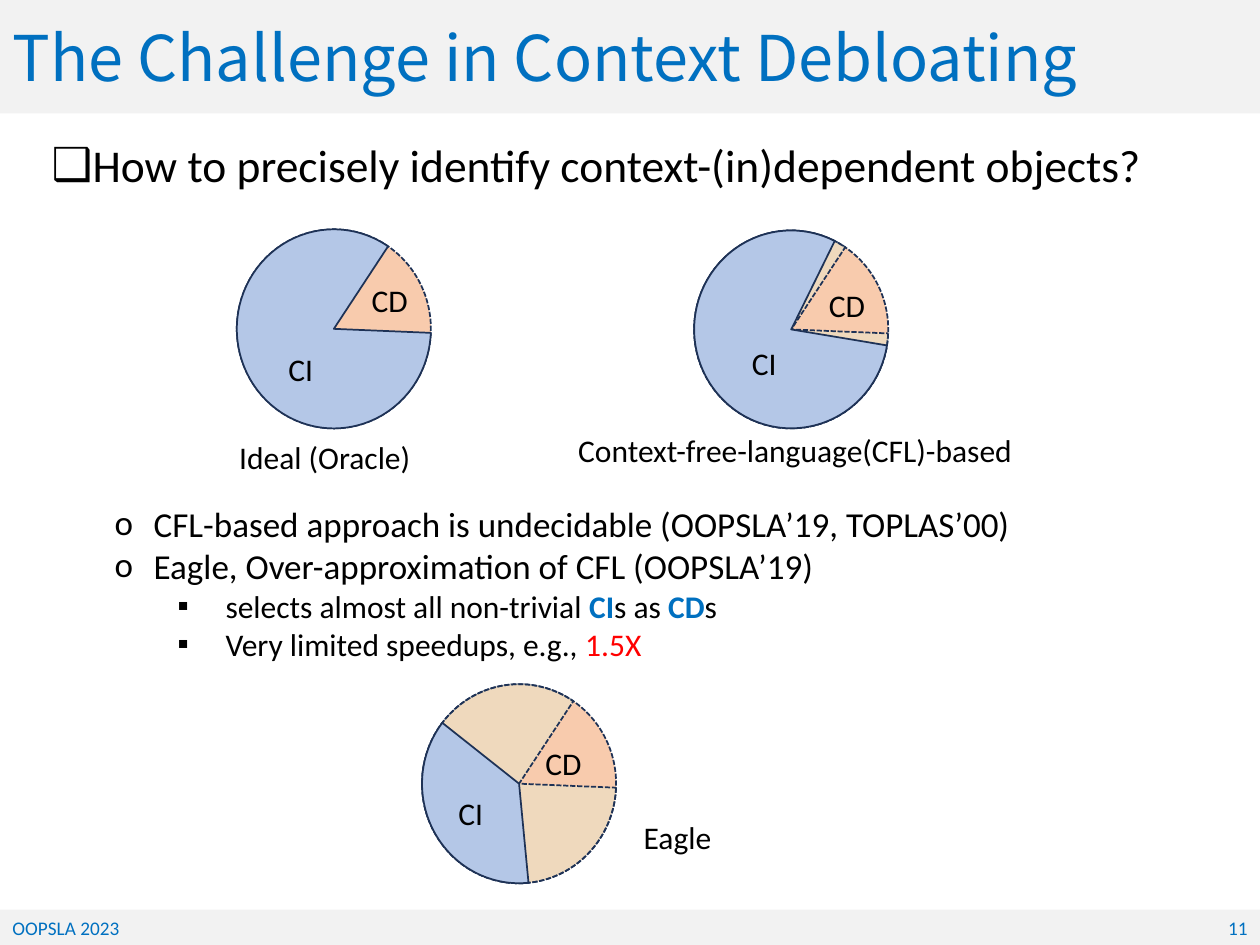
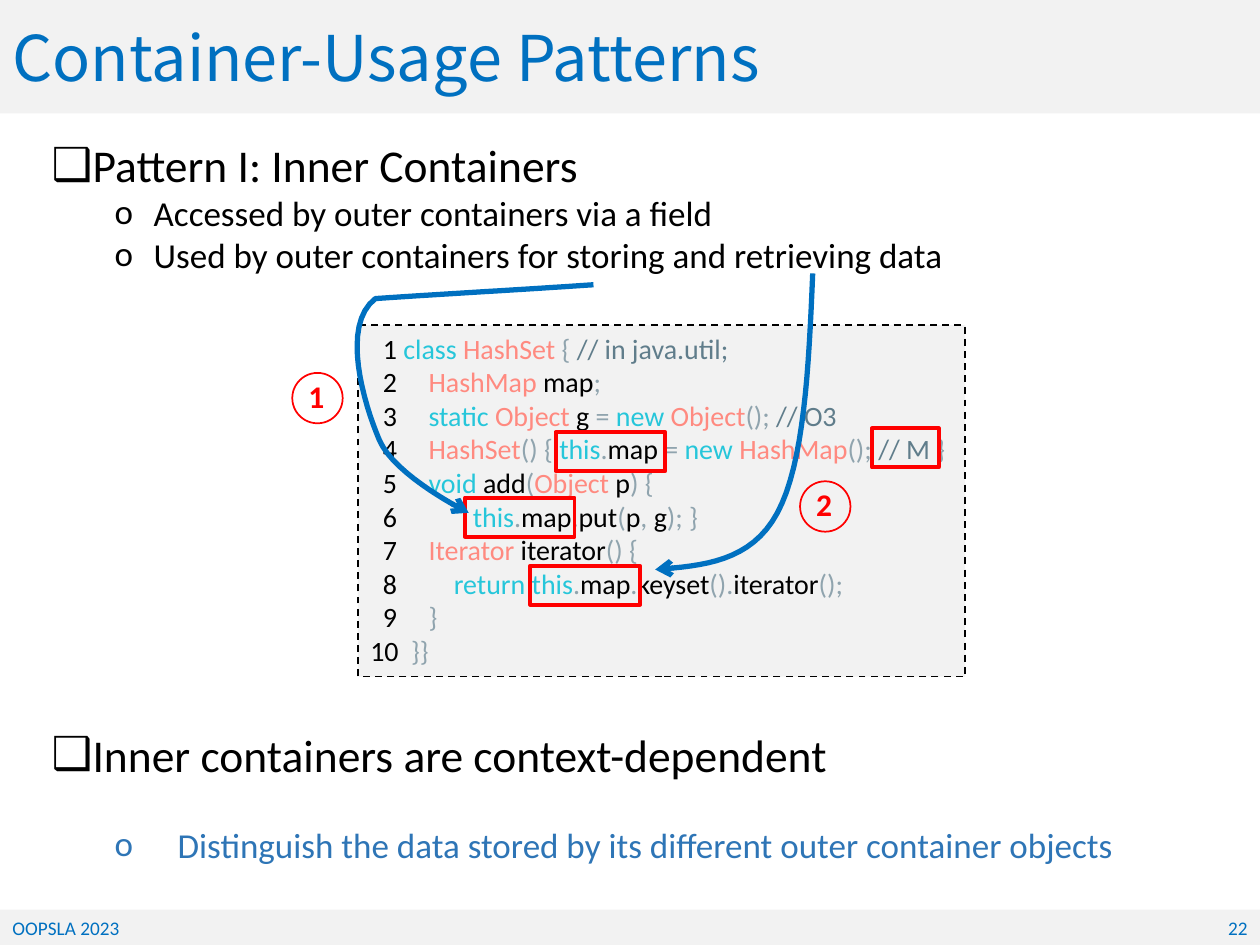
"""Builds two slides on context debloating and container-usage patterns."""
import itertools
from dataclasses import dataclass
from typing import Any, NamedTuple, Optional

import lxml.etree
import pptx
import pptx.dml.color
import pptx.enum.dml
import pptx.enum.shapes
import pptx.enum.text
import pptx.oxml.ns
import pptx.shapes.autoshape
import pptx.slide
import pptx.text.text
import pptx.util

EMU_PER_PX = 9144
TITLE_FONT, TEXT_FONT = "Noto Sans CJK SC", "Calibri"
COLORS = {
    "band": "F2F2F2", "accent": "0070C0", "text": "000000", "alert": "FF0000",
    "note": "2E75B6", "outline": "1E3256", "ci": "B4C7E7", "cd": "F8CBAD",
    "excess": "E2F0D9", "keyword": "26C6DA", "type": "FF8A80",
    "punctuation": "90A4AE", "comment": "607D8B",
}
KEYWORDS = {"class", "static", "new", "this", "void", "return"}
TYPES = {"HashSet", "HashMap", "Object", "Iterator"}
CODE = (
    "  1 class HashSet { // in java.util;",
    "  2     HashMap map;",
    "  3     static Object g = new Object(); // O3",
    "  4     HashSet() { this.map = new HashMap(); // M }",
    "  5     void add(Object p) {",
    "  6            this.map.put(p, g); }",
    "  7     Iterator iterator() {",
    "  8         return this.map.keyset().iterator();",
    "  9     }",
    "10  }}",
)
SHAPE = pptx.enum.shapes.MSO_SHAPE
DASH = pptx.enum.dml.MSO_LINE
ALIGN = pptx.enum.text.PP_ALIGN
ANCHOR = pptx.enum.text.MSO_ANCHOR
GROW = pptx.enum.text.MSO_AUTO_SIZE.SHAPE_TO_FIT_TEXT


class Box(NamedTuple):
    left: int
    top: int
    width: int
    height: int


class Run(NamedTuple):
    text: str
    color: str = "text"
    bold: bool = False


class Outline(NamedTuple):
    color: str
    width: float = 1
    dash: Optional[Any] = None


class ListLevel(NamedTuple):
    level: int
    size: int
    margin: int
    hanging: int
    bullet: str
    spacing: float = 1.0


class Item(NamedTuple):
    style: ListLevel
    runs: tuple[Run, ...]


class Slice(NamedTuple):
    start: float
    end: float


@dataclass(frozen=True)
class Caption:
    text: str
    box: Box


@dataclass(frozen=True)
class Partition:
    """A disc of CD objects, overlaid by its CI slice and any excess."""
    disc: Box
    ci: Slice
    has_excess: bool
    captions: tuple[Caption, ...]


QUESTION = ListLevel(0, 26, 31, 31, "❑")
POINT = ListLevel(1, 20, 81, 31, "o")
DETAIL = ListLevel(2, 18, 138, 38, "▪")
CONCLUSION = ListLevel(1, 20, 100, 50, "o", 2.0)

NOT_CD = Slice(2.36, 303.33)
SOLID, DOTTED = Outline("outline"), Outline("outline", dash=DASH.SQUARE_DOT)
PARTITIONS = (
    Partition(Box(188, 182, 154, 158), NOT_CD, False, (
        Caption("Ideal (Oracle)", Box(180, 343, 158, 40)),
        Caption("CI", Box(219, 273, 40, 40)),
        Caption("CD", Box(285, 218, 49, 40)))),
    Partition(Box(551, 183, 154, 157), Slice(9.5, 296.19), True, (
        Caption("Context-free-language(CFL)-based", Box(449, 337, 382, 40)),
        Caption("CI", Box(587, 268, 40, 40)),
        Caption("CD", Box(648, 222, 49, 40)))),
    Partition(Box(335, 543, 154, 158), Slice(84.56, 218.42), True, (
        Caption("Eagle", Box(501, 644, 74, 40)),
        Caption("CI", Box(354, 625, 40, 40)),
        Caption("CD", Box(423, 586, 49, 40)))),
)
FIELD_USES = (Box(369, 395, 87, 31), Box(692, 340, 53, 31),
              Box(441, 343, 87, 31), Box(421, 449, 87, 31))
STEPS = {"1": (232, 296), "2": (635, 382)}
STORE_ARROW = (
    ((471, 226), (413, 230), (356, 233), (298, 237)),
    ((298, 237), (270, 258), (289, 321), (301, 349)),
    ((301, 349), (313, 378), (372, 407), (372, 407)),
)
RETRIEVE_ARROW = (
    ((645, 217), (642, 292), (638, 368), (617, 407)),
    ((617, 407), (596, 446), (558, 449), (520, 452)),
)


def px(length: float) -> int:
    """Turn px into EMU."""
    return round(length * EMU_PER_PX)


def rgb(name: str) -> pptx.dml.color.RGBColor:
    """Look up a palette colour."""
    return pptx.dml.color.RGBColor.from_string(COLORS[name])


def apply(target: Any, values: dict[str, Any]) -> None:
    """Set each format value on the target."""
    for name, value in values.items():
        setattr(target, name, value)


def place(shape: Any, box: Box) -> None:
    """Move and size a shape."""
    apply(shape, {name: px(value) for name, value in box._asdict().items()})


def add_runs(paragraph: Any, runs: tuple[Run, ...], size: float, font: str = TEXT_FONT) -> None:
    """Append formatted runs to a paragraph."""
    for part in runs:
        run = paragraph.add_run()
        run.text = part.text
        apply(run.font, {"name": font, "size": pptx.util.Pt(size), "bold": part.bold})
        run.font.color.rgb = rgb(part.color)


def draw_line(line: Any, outline: Outline) -> None:
    """Format a shape's outline."""
    line.color.rgb = rgb(outline.color)
    line.width = pptx.util.Pt(outline.width)
    if outline.dash is not None:
        line.dash_style = outline.dash


def add_shape(shapes: Any, kind: Any, box: Box, fill: Optional[str] = None,
              outline: Optional[Outline] = None) -> pptx.shapes.autoshape.Shape:
    """Add a flat preset shape."""
    shape = shapes.add_shape(kind, *map(px, box))
    shape.shadow.inherit = False
    if fill:
        shape.fill.solid()
        shape.fill.fore_color.rgb = rgb(fill)
    else:
        shape.fill.background()
    if outline:
        draw_line(shape.line, outline)
    else:
        shape.line.fill.background()
    return shape


def add_label(shapes: Any, box: Box, run: Run, size: float, wrap: bool = False,
              align: Any = ALIGN.LEFT) -> None:
    """Add a one-line text box."""
    frame = shapes.add_textbox(*map(px, box)).text_frame
    apply(frame, {"word_wrap": wrap, "auto_size": GROW})
    frame.paragraphs[0].alignment = align
    add_runs(frame.paragraphs[0], (run,), size)


def next_paragraph(frame: pptx.text.text.TextFrame, index: int) -> Any:
    """Return the first paragraph or a new one."""
    return frame.add_paragraph() if index else frame.paragraphs[0]


def fill_list(placeholder: Any, box: Box, items: tuple[Item, ...]) -> None:
    """Place a body placeholder and write its bulleted items."""
    place(placeholder, box)
    frame = placeholder.text_frame
    apply(frame, {"word_wrap": True, "auto_size": GROW})
    for index, (style, runs) in enumerate(items):
        paragraph = next_paragraph(frame, index)
        apply(paragraph, {"level": style.level, "line_spacing": style.spacing,
                          "space_before": pptx.util.Pt(0)})
        properties = paragraph._p.get_or_add_pPr()
        properties.set("marL", str(px(style.margin)))
        properties.set("indent", str(-px(style.hanging)))
        for tag, key, value in (("a:buFont", "typeface", TEXT_FONT),
                                ("a:buChar", "char", style.bullet)):
            lxml.etree.SubElement(properties, pptx.oxml.ns.qn(tag)).set(key, value)
        add_runs(paragraph, runs, style.size)


def start_slide(deck: Any, title: str, number: int) -> pptx.slide.Slide:
    """Add a slide with the shared title band and footer."""
    slide = deck.slides.add_slide(deck.slide_layouts[3])
    heading = slide.shapes.title
    place(heading, Box(0, 0, 1000, 90))
    heading.fill.solid()
    heading.fill.fore_color.rgb = rgb("band")
    apply(heading.text_frame, {"vertical_anchor": ANCHOR.MIDDLE, "word_wrap": True,
                               "auto_size": pptx.enum.text.MSO_AUTO_SIZE.NONE})
    paragraph = heading.text_frame.paragraphs[0]
    paragraph.alignment = ALIGN.LEFT
    add_runs(paragraph, (Run(title, "accent"),), 36, TITLE_FONT)
    add_shape(slide.shapes, SHAPE.RECTANGLE, Box(0, 722, 1000, 28), "band")
    add_label(slide.shapes, Box(0, 722, 212, 29), Run("OOPSLA 2023", "accent"), 11, True)
    add_label(slide.shapes, Box(948, 722, 52, 29), Run(str(number), "accent"), 11, True, ALIGN.RIGHT)
    return slide


def add_slice(shapes: Any, disc: Box, part: Slice, fill: str, outline: Outline) -> Any:
    """Add a pie slice whose angles are in degrees."""
    shape = add_shape(shapes, SHAPE.PIE, disc, fill, outline)
    for index, angle in enumerate(part):
        shape.adjustments[index] = angle * 0.6
    return shape


def add_partition(shapes: Any, partition: Partition) -> None:
    """Draw one split of objects into CI and CD."""
    add_shape(shapes, SHAPE.OVAL, partition.disc, "cd", DOTTED)
    if partition.has_excess:
        excess = add_slice(shapes, partition.disc, NOT_CD, "excess", DOTTED)
        color = excess._element.spPr.find(".//" + pptx.oxml.ns.qn("a:srgbClr"))
        lxml.etree.SubElement(color, pptx.oxml.ns.qn("a:alpha")).set("val", "38000")
    add_slice(shapes, partition.disc, partition.ci, "ci", SOLID)
    for caption in partition.captions:
        add_label(shapes, caption.box, Run(caption.text), 18)


def highlight(line: str) -> tuple[Run, ...]:
    """Split a code line into coloured runs."""
    code, slashes, rest = line.partition("//")
    comment = rest.rstrip("}")
    runs = []
    for is_word, letters in itertools.groupby(code, lambda letter: letter.isalnum()):
        token = "".join(letters)
        color = ("keyword" if token in KEYWORDS else "type" if token in TYPES
                 else "text" if is_word else "punctuation")
        runs.append(Run(token, color))
    if slashes:
        runs += [Run(slashes + comment, "comment"), Run(rest[len(comment):], "punctuation")]
    return tuple(run for run in runs if run.text)


def add_code(shapes: Any) -> None:
    """Draw the code listing."""
    listing = add_shape(shapes, SHAPE.RECTANGLE, Box(284, 258, 482, 279), "band",
                        Outline("text", dash=DASH.DASH))
    apply(listing.text_frame, {"vertical_anchor": ANCHOR.TOP, "word_wrap": True, "auto_size": GROW})
    for index, line in enumerate(CODE):
        paragraph = next_paragraph(listing.text_frame, index)
        paragraph.alignment = ALIGN.LEFT
        add_runs(paragraph, highlight(line), 16)


def add_curved_arrow(shapes: Any, curves: tuple, steps: int = 16) -> None:
    """Draw an arrow along cubic Bézier curves."""
    points = []
    for curve in curves:
        for t in (step / steps for step in range(1, steps + 1)):
            weights = ((1 - t) ** 3, 3 * t * (1 - t) ** 2, 3 * t * t * (1 - t), t ** 3)
            points.append(tuple(px(sum(w * v for w, v in zip(weights, axis))) for axis in zip(*curve)))
    builder = shapes.build_freeform(*map(px, curves[0][0]))
    builder.add_line_segments(points, close=False)
    arrow = builder.convert_to_shape()
    arrow.shadow.inherit = False
    arrow.fill.background()
    draw_line(arrow.line, Outline("accent", 3))
    lxml.etree.SubElement(arrow.line._get_or_add_ln(), pptx.oxml.ns.qn("a:tailEnd")).set("type", "arrow")


def build_challenge(deck: Any) -> None:
    """Build the slide on the challenge."""
    slide = start_slide(deck, "The Challenge in Context Debloating", 11)
    fill_list(slide.placeholders[1], Box(31, 104, 917, 54), (
        Item(QUESTION, (Run("How to precisely identify context-(in)dependent objects?"),)),))
    fill_list(slide.placeholders[2], Box(31, 394, 939, 138), (
        Item(POINT, (Run("CFL-based approach is undecidable (OOPSLA’19, TOPLAS’00)"),)),
        Item(POINT, (Run("Eagle, Over-approximation of CFL (OOPSLA’19)"),)),
        Item(DETAIL, (Run("selects almost all non-trivial "), Run("CI", "accent", True),
                      Run("s as "), Run("CD", "accent", True), Run("s"))),
        Item(DETAIL, (Run("Very limited speedups, e.g., "), Run("1.5X", "alert")))))
    for partition in PARTITIONS:
        add_partition(slide.shapes, partition)


def build_patterns(deck: Any) -> None:
    """Build the slide on inner containers."""
    slide = start_slide(deck, "Container-Usage Patterns", 22)
    fill_list(slide.placeholders[1], Box(31, 104, 917, 121), (
        Item(QUESTION, (Run("Pattern I: Inner Containers"),)),
        Item(POINT, (Run("Accessed by outer containers via a field"),)),
        Item(POINT, (Run("Used by outer containers for storing and retrieving data"),))))
    fill_list(slide.placeholders[2], Box(31, 572, 885, 112), (
        Item(QUESTION, (Run("Inner containers are context-dependent"),)),
        Item(CONCLUSION, (Run("Distinguish the data stored by its different outer container objects",
                              "note"),))))
    add_code(slide.shapes)
    for use in FIELD_USES:
        add_shape(slide.shapes, SHAPE.RECTANGLE, use, outline=Outline("alert", 2.25))
    add_curved_arrow(slide.shapes, RETRIEVE_ARROW)
    for step, (left, top) in STEPS.items():
        badge = slide.shapes.add_group_shape().shapes
        add_shape(badge, SHAPE.OVAL, Box(left, top, 40, 40), outline=Outline("alert"))
        add_label(badge, Box(left + 3, top - 2, 33, 40), Run(step, "alert", True), 18)
    add_curved_arrow(slide.shapes, STORE_ARROW)


def main() -> None:
    """Build and save the deck."""
    deck = pptx.Presentation()
    apply(deck, {"slide_width": px(1000), "slide_height": px(750)})
    build_challenge(deck)
    build_patterns(deck)
    deck.save("out.pptx")


if __name__ == "__main__":
    main()
